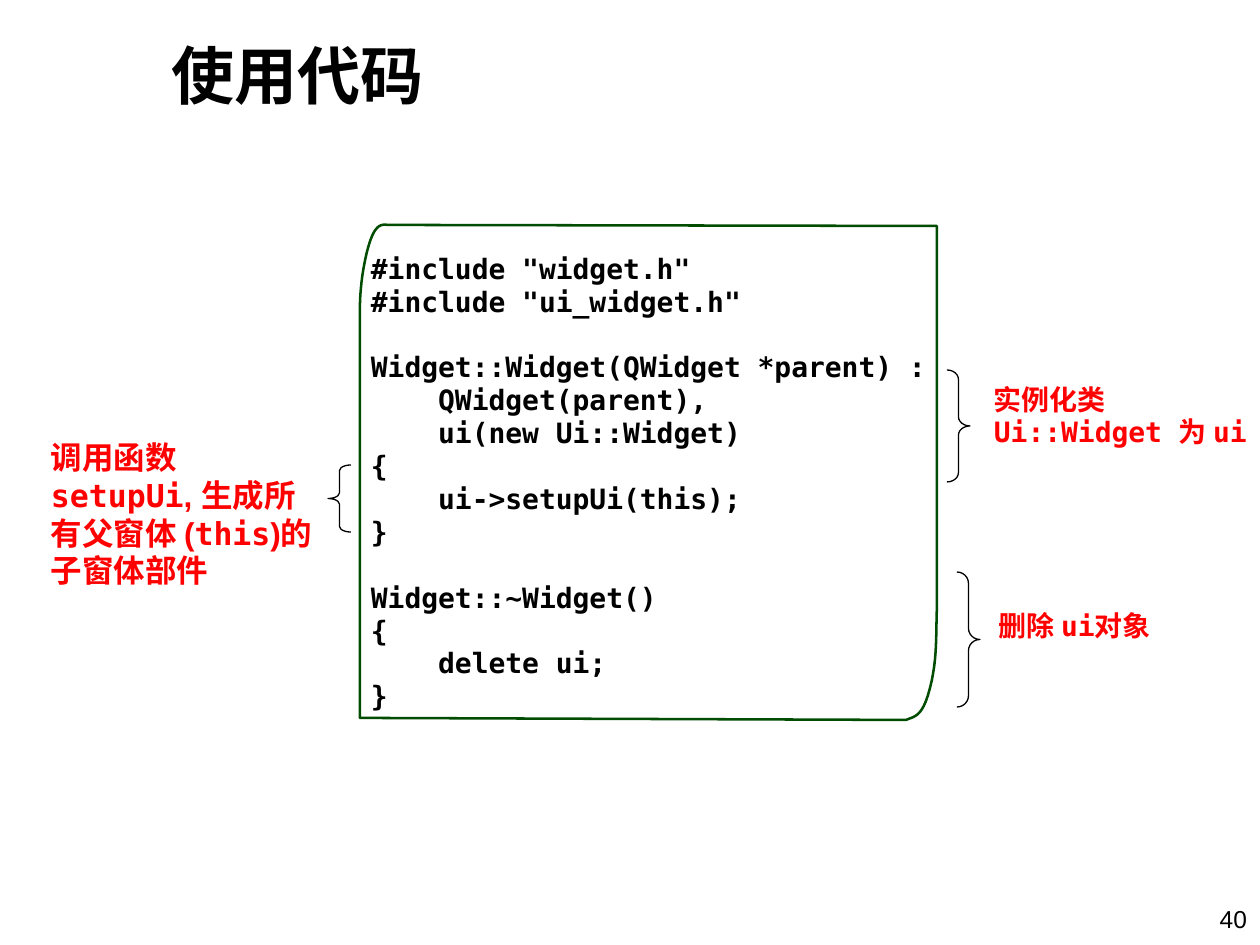
from lxml import etree
from pptx import Presentation
from pptx.dml.color import RGBColor
from pptx.enum.shapes import MSO_SHAPE
from pptx.enum.text import MSO_ANCHOR, PP_ALIGN
from pptx.oxml.ns import qn
from pptx.util import Pt

PX = 914400 / 126
BLACK = RGBColor(0x00, 0x00, 0x00)
RED = RGBColor(0xFF, 0x00, 0x00)
GREEN = RGBColor(0x00, 0x4C, 0x00)
SANS, MONO = "Arial", "DejaVu Sans Mono"
LEFT_BRACE, RIGHT_BRACE = MSO_SHAPE.LEFT_BRACE, MSO_SHAPE.RIGHT_BRACE
MIDDLE = MSO_ANCHOR.MIDDLE
RIGHT = PP_ALIGN.RIGHT

CODE = """#include "widget.h"
#include "ui_widget.h"

Widget::Widget(QWidget *parent) :
    QWidget(parent),
    ui(new Ui::Widget)
{
    ui->setupUi(this);
}

Widget::~Widget()
{
    delete ui;
}"""


def add_text(box, margins, lines, size, color, bold=True):
    """Add a text box; each line is a list of (text, font) runs."""
    frame = slide.shapes.add_textbox(*[int(v * PX) for v in box]).text_frame
    frame.word_wrap = True
    (frame.margin_left, frame.margin_top,
     frame.margin_right, frame.margin_bottom) = [int(v * PX) for v in margins]
    for number, line in enumerate(lines):
        paragraph = frame.add_paragraph() if number else frame.paragraphs[0]
        for text, font in line:
            run = paragraph.add_run()
            run.text = text
            run.font.name = font
            run.font.size = Pt(size)
            run.font.bold = bold
            run.font.color.rgb = color
    return frame


def curve(start, control_1, control_2, end, steps=12):
    """Return points along a cubic Bezier curve, without its start."""
    points = []
    for step in range(1, steps + 1):
        t = step / steps
        weights = ((1 - t) ** 3, 3 * t * (1 - t) ** 2, 3 * t * t * (1 - t), t ** 3)
        corners = (start, control_1, control_2, end)
        points.append(tuple(sum(w * c[axis] for w, c in zip(weights, corners))
                            for axis in (0, 1)))
    return points


prs = Presentation()
prs.slide_width = int(1260 * PX)
prs.slide_height = int(945 * PX)
slide = prs.slides.add_slide(prs.slide_layouts[6])

title = add_text((159, -4, 819, 158), (13, 5, 13, 6), [[("使用代码", SANS)]], 36, BLACK)
title.vertical_anchor = MIDDLE

code_lines = [[(line, MONO)] if line else [] for line in CODE.split("\n")]
code = add_text((360, 247, 577, 430), (11, 6, 11, 5), code_lines, 16, BLACK)
for paragraph in code.paragraphs:
    paragraph.line_spacing = 0.98
    if not paragraph.runs:
        etree.SubElement(paragraph._p, qn("a:endParaRPr"), sz="1600", b="1")

# Braces tie parts of the code to the notes
for kind, left, top, height in (
    (LEFT_BRACE, 328, 465, 67),
    (RIGHT_BRACE, 947, 370, 112),
    (RIGHT_BRACE, 957, 572, 135),
):
    width = 23
    brace = slide.shapes.add_shape(
        kind, *[int(v * PX) for v in (left, top, width, height)])
    brace.adjustments[0] = height / width / 12
    brace.shadow.inherit = False
    brace.fill.background()
    brace.line.color.rgb = BLACK
    brace.line.width = Pt(0.75)

note_margins = (11, 8, 11, 5)
create_note = add_text(
    (983, 375, 277, 107), note_margins,
    [[("实例化类", SANS)], [("Ui::Widget ", MONO), ("为 ", SANS), ("ui", MONO)]],
    16, RED)
create_note.word_wrap = False
create_note.paragraphs[1].line_spacing = 0.98
add_text((988, 601, 202, 98), note_margins,
         [[("删除 ", SANS), ("ui", MONO), ("对象", SANS)]], 16, RED)
add_text((40, 430, 292, 171), note_margins,
         [[("调用函数 ", SANS), ("setupUi", MONO), (", 生成所有父窗体 (", SANS),
           ("this", MONO), (")的子窗体部件", SANS)]], 18, RED)

# Code frame with rounded top left and bottom right corners
outline = [
    (937, 226), (937, 607),
    *curve((937, 607), (936, 640), (937, 655), (932, 680)),
    *curve((932, 680), (924, 717), (916, 716), (906, 720)),
    (360, 718), (360, 318),
    *curve((360, 318), (360, 310), (359, 285), (367, 252)),
    *curve((367, 252), (374, 224), (381, 224), (388, 225)),
]
builder = slide.shapes.build_freeform(int(388 * PX), int(225 * PX))
builder.add_line_segments([(int(x * PX), int(y * PX)) for x, y in outline], close=True)
code_frame = builder.convert_to_shape()
code_frame.shadow.inherit = False
code_frame.fill.background()
code_frame.line.color.rgb = GREEN
code_frame.line.width = Pt(1.45)

page_number = add_text((1057, 898, 203, 47), (13, 6, 13, 6), [[("40", SANS)]],
                       14, BLACK, bold=False)
page_number.paragraphs[0].alignment = RIGHT

prs.save("out.pptx")
